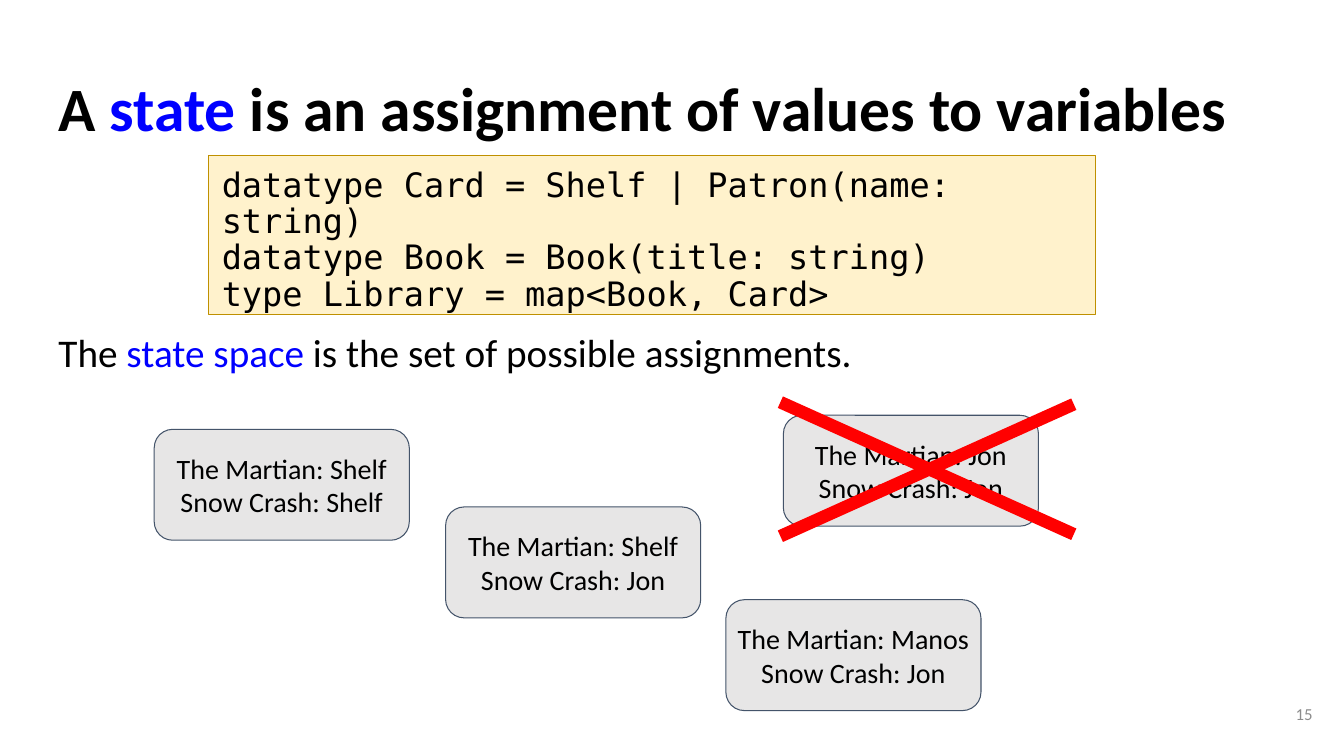
from dataclasses import dataclass

from lxml import etree
from pptx import Presentation
from pptx import util as u
from pptx.dml.color import RGBColor
from pptx.enum import shapes, text
from pptx.oxml import ns

COLORS = {
    "black": "000000", "blue": "0000FF", "red": "FF0000", "gray": "8C8C8C",
    "state_fill": "E7E6E6", "state_line": "44546A",
    "code_fill": "FFF2CC", "code_line": "BF9000",
}
STATE_SIZE = (2.53, 1.1)


@dataclass(frozen=True)
class TextStyle:
    size: float
    font: str = "Calibri"
    color: str = "black"
    bold: bool = False
    align: text.PP_ALIGN = text.PP_ALIGN.LEFT
    anchor: text.MSO_ANCHOR = text.MSO_ANCHOR.TOP
    inset: float = 0.13
    line_spacing: float = 1.0


@dataclass(frozen=True)
class State:
    left: float
    top: float
    martian: str
    snow_crash: str


@dataclass(frozen=True)
class Stroke:
    start: tuple[float, float]
    end: tuple[float, float]


TITLE = TextStyle(44, bold=True, line_spacing=0.9)
BODY = TextStyle(28, line_spacing=0.9)
CODE = TextStyle(24, font="DejaVu Sans Mono", line_spacing=0.9)
STATE = TextStyle(20, align=text.PP_ALIGN.CENTER, anchor=text.MSO_ANCHOR.MIDDLE, inset=0)
NUMBER = TextStyle(12, color="gray", align=text.PP_ALIGN.RIGHT, anchor=text.MSO_ANCHOR.MIDDLE)

CODE_LINES = (
    "datatype Card = Shelf | Patron(name: string)",
    "datatype Book = Book(title: string)",
    "type Library = map<Book, Card>",
)
STATES = (
    State(1.53, 4.26, "Shelf", "Shelf"),
    State(4.42, 5.03, "Shelf", "Jon"),
    State(7.77, 4.12, "Jon", "Jon"),
    State(7.2, 5.95, "Manos", "Jon"),
)
CROSS = (
    Stroke((7.74, 3.99), (10.65, 5.3)),
    Stroke((10.65, 4.01), (7.74, 5.32)),
)


def rgb(name: str) -> RGBColor:
    """Return the named colour."""
    return RGBColor.from_string(COLORS[name])


def inches(*lengths: float) -> list[u.Length]:
    """Convert lengths to inches."""
    return [u.Inches(length) for length in lengths]


def write(shape, style: TextStyle, content: str, highlight: str = "") -> None:
    """Fill a shape with one paragraph, colouring the highlighted words blue."""
    frame = shape.text_frame
    frame.word_wrap = True
    frame.auto_size = text.MSO_AUTO_SIZE.NONE
    frame.vertical_anchor = style.anchor
    frame.margin_left = frame.margin_right = u.Inches(style.inset)
    frame.margin_top = frame.margin_bottom = u.Inches(style.inset)
    paragraph = frame.paragraphs[0]
    paragraph.alignment = style.align
    paragraph.line_spacing = style.line_spacing
    paragraph.font.name = style.font
    paragraph.font.size = u.Pt(style.size)
    paragraph.font.bold = style.bold
    paragraph.font.color.rgb = rgb(style.color)
    if not highlight:
        paragraph.text = content
        return
    before, after = content.split(highlight, 1)
    for part in (before, highlight, after):
        run = paragraph.add_run()
        run.text = part
        run.font.color.rgb = rgb("blue" if part == highlight else style.color)


def add_text(slide, box: tuple, style: TextStyle, content: str, highlight: str = "") -> None:
    """Add a text box."""
    write(slide.shapes.add_textbox(*inches(*box)), style, content, highlight)


def add_panel(slide, kind: shapes.MSO_SHAPE, box: tuple, palette: str,
              style: TextStyle, content: str) -> None:
    """Add a filled, outlined shape with text."""
    shape = slide.shapes.add_shape(kind, *inches(*box))
    shape.shadow.inherit = False
    shape.fill.solid()
    shape.fill.fore_color.rgb = rgb(f"{palette}_fill")
    shape.line.color.rgb = rgb(f"{palette}_line")
    shape.line.width = u.Pt(0.75)
    write(shape, style, content)


def add_stroke(slide, stroke: Stroke) -> None:
    """Add one thick red line of the cross."""
    connector = slide.shapes.add_connector(
        shapes.MSO_CONNECTOR.STRAIGHT, *inches(*stroke.start, *stroke.end))
    connector.line.color.rgb = rgb("red")
    connector.line.width = u.Pt(9)
    etree.SubElement(connector._element.spPr, ns.qn("a:effectLst"))


def main() -> None:
    """Build and save the slide."""
    presentation = Presentation()
    presentation.slide_width, presentation.slide_height = inches(13.33, 7.5)
    slide = presentation.slides.add_slide(presentation.slide_layouts[5])

    title = slide.shapes.title
    title.left, title.top, title.width, title.height = inches(0.45, 0.65, 12.42, 0.84)
    write(title, TITLE, "A state is an assignment of values to variables", "state")
    add_text(slide, (0.45, 3.18, 12.42, 3.65), BODY,
             "The state space is the set of possible assignments.", "state space")

    for state in STATES:
        add_panel(slide, shapes.MSO_SHAPE.ROUNDED_RECTANGLE,
                  (state.left, state.top, *STATE_SIZE), "state", STATE,
                  f"The Martian: {state.martian}\nSnow Crash: {state.snow_crash}")
    for stroke in CROSS:
        add_stroke(slide, stroke)

    add_panel(slide, shapes.MSO_SHAPE.RECTANGLE, (2.07, 1.54, 8.8, 1.58),
              "code", CODE, "\n".join(CODE_LINES))
    add_text(slide, (12.35, 6.8, 0.8, 0.57), NUMBER, "15")
    presentation.save("out.pptx")


if __name__ == "__main__":
    main()
